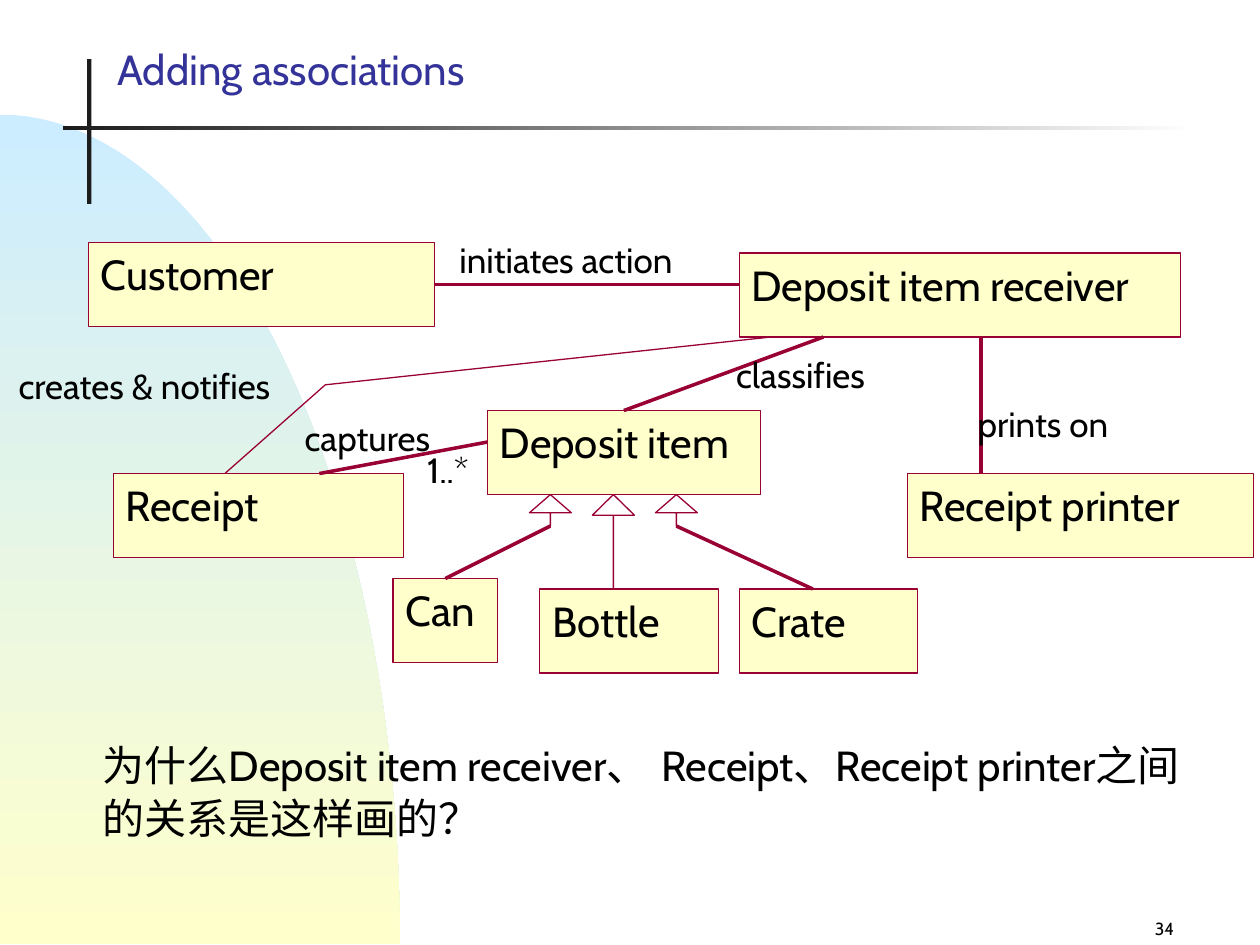
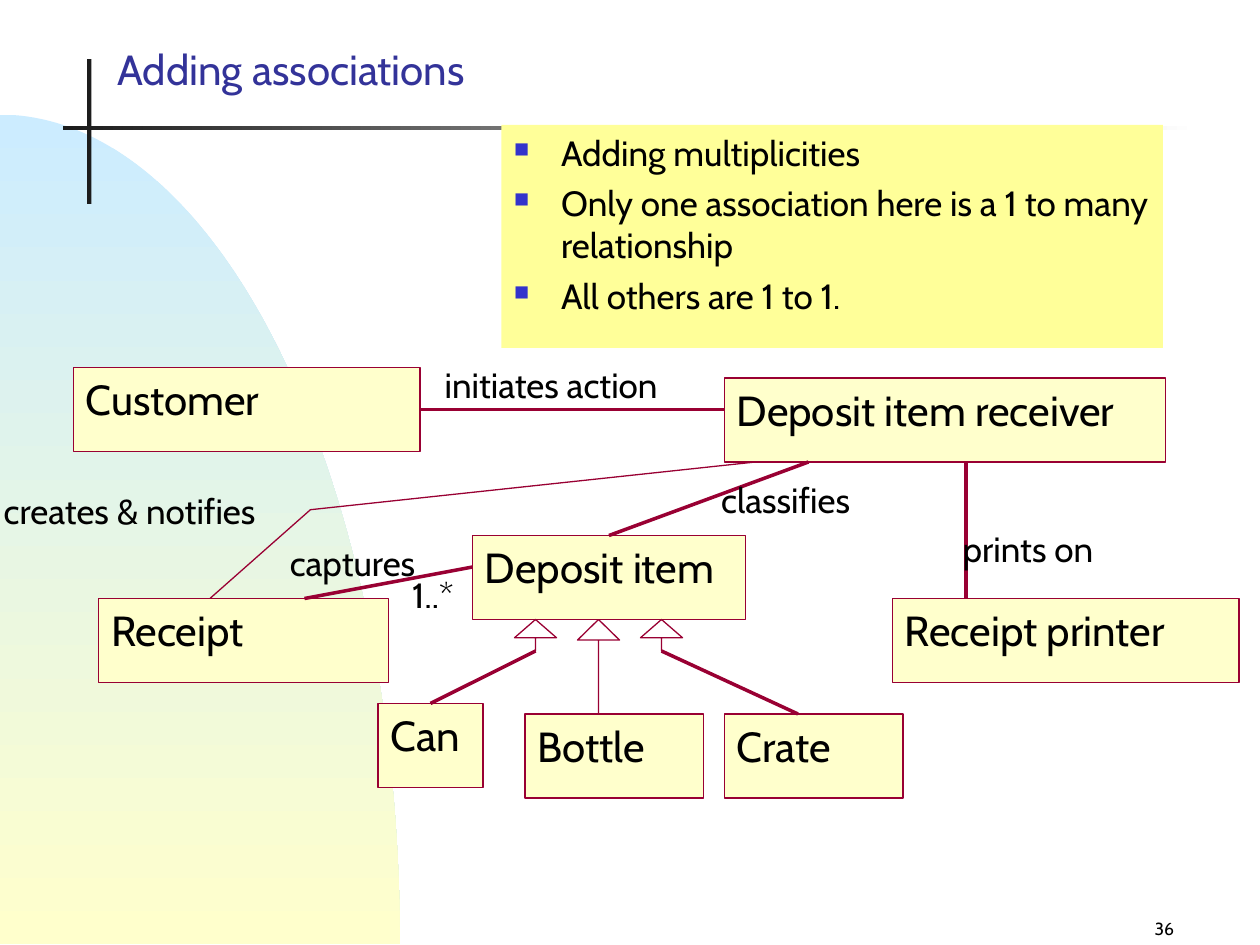
import math
from typing import Any, NamedTuple, Optional

from lxml import etree
from pptx import Presentation
from pptx.dml.color import RGBColor
from pptx.enum import shapes, text
from pptx.oxml.ns import qn
from pptx.util import Pt

FONT = "Cabin"
WHITE = RGBColor(0xFF, 0xFF, 0xFF)
BLACK = RGBColor(0x00, 0x00, 0x00)
CHARCOAL = RGBColor(0x1C, 0x1C, 0x1C)
SKY = RGBColor(0xCC, 0xEC, 0xFF)
CREAM = RGBColor(0xFF, 0xFF, 0xCC)
YELLOW = RGBColor(0xFF, 0xFF, 0x99)
CRIMSON = RGBColor(0x99, 0x00, 0x33)
TITLE_BLUE = RGBColor(0x33, 0x33, 0x99)
BULLET_BLUE = RGBColor(0x33, 0x33, 0xCC)

TOP, LEFT, RIGHT = 0, 1, 3
BOX_HEIGHT = 48


class Area(NamedTuple):
    left: float
    top: float
    width: float
    height: float

    def shifted(self, dx: float, dy: float) -> "Area":
        return self._replace(left=self.left + dx, top=self.top + dy)

    def lengths(self) -> list[Pt]:
        return [Pt(value) for value in self]


class Point(NamedTuple):
    x: float
    y: float

    def shifted(self, dx: float, dy: float) -> "Point":
        return Point(self.x + dx, self.y + dy)

    def lengths(self) -> tuple[Pt, Pt]:
        return Pt(self.x), Pt(self.y)


class ClassBox(NamedTuple):
    name: str
    left: float
    top: float
    width: float


class Label(NamedTuple):
    wording: str
    left: float
    top: float
    width: float


class Relation(NamedTuple):
    start: Point
    end: Point
    start_joint: Optional[tuple[str, int]] = None
    end_joint: Optional[tuple[str, int]] = None


class Inheritance(NamedTuple):
    area: Area
    head: float


CLASS_BOXES = [
    ClassBox("Customer", 42, 210, 198),
    ClassBox("Deposit item receiver", 414, 216, 252),
    ClassBox("Receipt", 56.4, 342, 165.6),
    ClassBox("Deposit item", 270, 306, 156),
    ClassBox("Receipt printer", 510, 342, 198),
    ClassBox("Can", 216, 402, 60),
    ClassBox("Bottle", 300, 408, 102),
    ClassBox("Crate", 414, 408, 102),
]
INHERITANCES = [
    Inheritance(Area(294, 354, 24, 18), 0.58),
    Inheritance(Area(330, 354, 24, 54), 0.49),
    Inheritance(Area(366, 354, 24, 18), 0.58),
]
RELATIONS = [
    Relation(Point(306, 372), Point(246, 402), end_joint=("Can", TOP)),
    Relation(Point(378, 372), Point(456, 408)),
    Relation(Point(240, 234), Point(414, 234), start_joint=("Customer", RIGHT)),
    Relation(Point(462, 264), Point(348, 306), end_joint=("Deposit item", TOP)),
    Relation(Point(174, 342), Point(270, 324)),
    Relation(Point(552, 264), Point(552, 342)),
]
NOTIFY_ROUTE = [Point(432, 264), Point(177.4, 291.3), Point(120, 342)]
LABELS = [
    Label("initiates action", 247, 204, 152),
    Label("classifies", 405, 270, 98),
    Label("creates & notifies", -5, 276, 178),
    Label("captures", 158.5, 306, 96.5),
    Label("prints on", 543, 298, 98.5),
    Label("1..*", 228.5, 324, 47.5),
]


def apply(target: Any, values: dict[str, Any]) -> None:
    for name, value in values.items():
        setattr(target, name, value)


def add_run(paragraph, wording: str, size: float, color: RGBColor = BLACK) -> None:
    run = paragraph.add_run()
    run.text = wording
    apply(run.font, {"name": FONT, "size": Pt(size)})
    run.font.color.rgb = color


def add_text(slide, area: Area, wording: str, size: float,
             color: RGBColor = BLACK, align=text.PP_ALIGN.LEFT, **frame: Any):
    text_box = slide.shapes.add_textbox(*area.lengths())
    apply(text_box.text_frame, {"word_wrap": True, **frame})
    paragraph = text_box.text_frame.paragraphs[0]
    paragraph.alignment = align
    add_run(paragraph, wording, size, color)
    return text_box


def add_panel(slide, area: Area, color: RGBColor):
    """Add a borderless filled rectangle whose text starts at the top left."""
    panel = slide.shapes.add_shape(shapes.MSO_SHAPE.RECTANGLE, *area.lengths())
    panel.shadow.inherit = False
    panel.fill.solid()
    panel.fill.fore_color.rgb = color
    panel.line.fill.background()
    apply(panel.text_frame, {"word_wrap": True, "vertical_anchor": text.MSO_ANCHOR.TOP})
    panel.text_frame.paragraphs[0].alignment = text.PP_ALIGN.LEFT
    return panel


def fade(shape, first: RGBColor, last: RGBColor, angle: float) -> None:
    shape.fill.gradient()
    shape.fill.gradient_angle = angle
    for stop, color in zip(shape.fill.gradient_stops, (first, last)):
        stop.color.rgb = color


def outline(shape) -> None:
    shape.line.color.rgb = CRIMSON
    shape.line.width = Pt(0)


def add_outline(slide, points: list[Point], close: bool):
    builder = slide.shapes.build_freeform(*points[0].lengths())
    builder.add_line_segments([point.lengths() for point in points[1:]], close=close)
    shape = builder.convert_to_shape()
    shape.shadow.inherit = False
    return shape


def add_backdrop(slide) -> None:
    """Draw the quarter ellipse and the crossing rules behind the title."""
    center_y, radius_x, radius_y, steps = 539.5, 228.5, 474, 90
    angles = [math.pi / 2 * step / steps for step in range(steps + 1)]
    arc = [Point(radius_x * math.sin(a), center_y - radius_y * math.cos(a)) for a in angles]
    ellipse = add_outline(slide, arc + [Point(0, center_y)], close=True)
    fade(ellipse, SKY, CREAM, 270)
    ellipse.line.fill.background()
    add_panel(slide, Area(49.8, 33.8, 2.4, 82.8), CHARCOAL)
    rule = add_panel(slide, Area(36, 72, 648, 2.3), CHARCOAL)
    fade(rule, CHARCOAL, WHITE, 0)


def add_base_slide(presentation, title: str, number: int):
    slide = presentation.slides.add_slide(presentation.slide_layouts[6])
    add_backdrop(slide)
    bottom = text.MSO_ANCHOR.BOTTOM
    add_text(slide, Area(528, 516, 150, 24), str(number), 10,
             align=text.PP_ALIGN.RIGHT, vertical_anchor=bottom)
    add_text(slide, Area(60, 20, 269, 37), title, 24, TITLE_BLUE,
             vertical_anchor=bottom, word_wrap=False)
    return slide


def add_relation(slide, relation: Relation, boxes: dict[str, Any],
                 dx: float, dy: float) -> None:
    connector = slide.shapes.add_connector(
        shapes.MSO_CONNECTOR.STRAIGHT,
        *relation.start.shifted(dx, dy).lengths(),
        *relation.end.shifted(dx, dy).lengths())
    outline(connector)
    etree.SubElement(connector._element.spPr, qn("a:effectLst"))
    if relation.start_joint:
        name, side = relation.start_joint
        connector.begin_connect(boxes[name], side)
    if relation.end_joint:
        name, side = relation.end_joint
        connector.end_connect(boxes[name], side)


def add_class_diagram(slide, dx: float = 0, dy: float = 0) -> None:
    boxes = {}
    for name, left, top, width in CLASS_BOXES:
        box = add_panel(slide, Area(left, top, width, BOX_HEIGHT).shifted(dx, dy), CREAM)
        outline(box)
        add_run(box.text_frame.paragraphs[0], name, 24)
        boxes[name] = box
    for area, head in INHERITANCES:
        arrow = slide.shapes.add_shape(
            shapes.MSO_SHAPE.UP_ARROW, *area.shifted(dx, dy).lengths())
        arrow.shadow.inherit = False
        arrow.adjustments[0], arrow.adjustments[1] = 0, head
        arrow.fill.background()
        outline(arrow)
    for relation in RELATIONS:
        add_relation(slide, relation, boxes, dx, dy)
    route = add_outline(slide, [point.shifted(dx, dy) for point in NOTIFY_ROUTE], close=False)
    route.fill.background()
    outline(route)
    for wording, left, top, width in LABELS:
        add_text(slide, Area(left, top, width, 31.5).shifted(dx, dy), wording, 20,
                 word_wrap=False, auto_size=text.MSO_AUTO_SIZE.SHAPE_TO_FIT_TEXT)


def add_bullet(paragraph) -> None:
    properties = paragraph._p.get_or_add_pPr()
    apply_indent = {"marL": Pt(27), "indent": -Pt(27)}
    for name, value in apply_indent.items():
        properties.set(name, str(int(value)))
    color = etree.SubElement(properties, qn("a:buClr"))
    etree.SubElement(color, qn("a:srgbClr"), val=str(BULLET_BLUE))
    etree.SubElement(properties, qn("a:buSzPct"), val="60000")
    etree.SubElement(properties, qn("a:buChar"), char="■")


def add_bullet_panel(slide, area: Area, items: list[str]) -> None:
    frame = add_panel(slide, area, YELLOW).text_frame
    for index, item in enumerate(items):
        paragraph = frame.add_paragraph() if index else frame.paragraphs[0]
        add_bullet(paragraph)
        paragraph.alignment = text.PP_ALIGN.LEFT
        if index:
            paragraph.space_before = Pt(5)
        add_run(paragraph, item, 20)


def add_question_slide(presentation) -> None:
    slide = add_base_slide(presentation, "Adding associations", 34)
    add_class_diagram(slide, 8.5, -71.4)
    question = add_text(slide, Area(51.8, 411, 632, 75), "为什么Deposit item receiver、", 24)
    paragraph = question.text_frame.paragraphs[0]
    add_run(paragraph, " ", 32)
    add_run(paragraph, "Receipt、Receipt printer之间的关系是这样画的？", 24)


def add_multiplicity_slide(presentation) -> None:
    slide = add_base_slide(presentation, "Adding associations", 36)
    add_bullet_panel(slide, Area(286.5, 71.4, 378, 127.5), [
        "Adding multiplicities",
        "Only one association here is a 1 to many relationship",
        "All others are 1 to 1.",
    ])
    add_class_diagram(slide)


def main() -> None:
    presentation = Presentation()
    apply(presentation, {"slide_width": Pt(720), "slide_height": Pt(540)})
    add_question_slide(presentation)
    add_multiplicity_slide(presentation)
    presentation.save("out.pptx")


if __name__ == "__main__":
    main()
